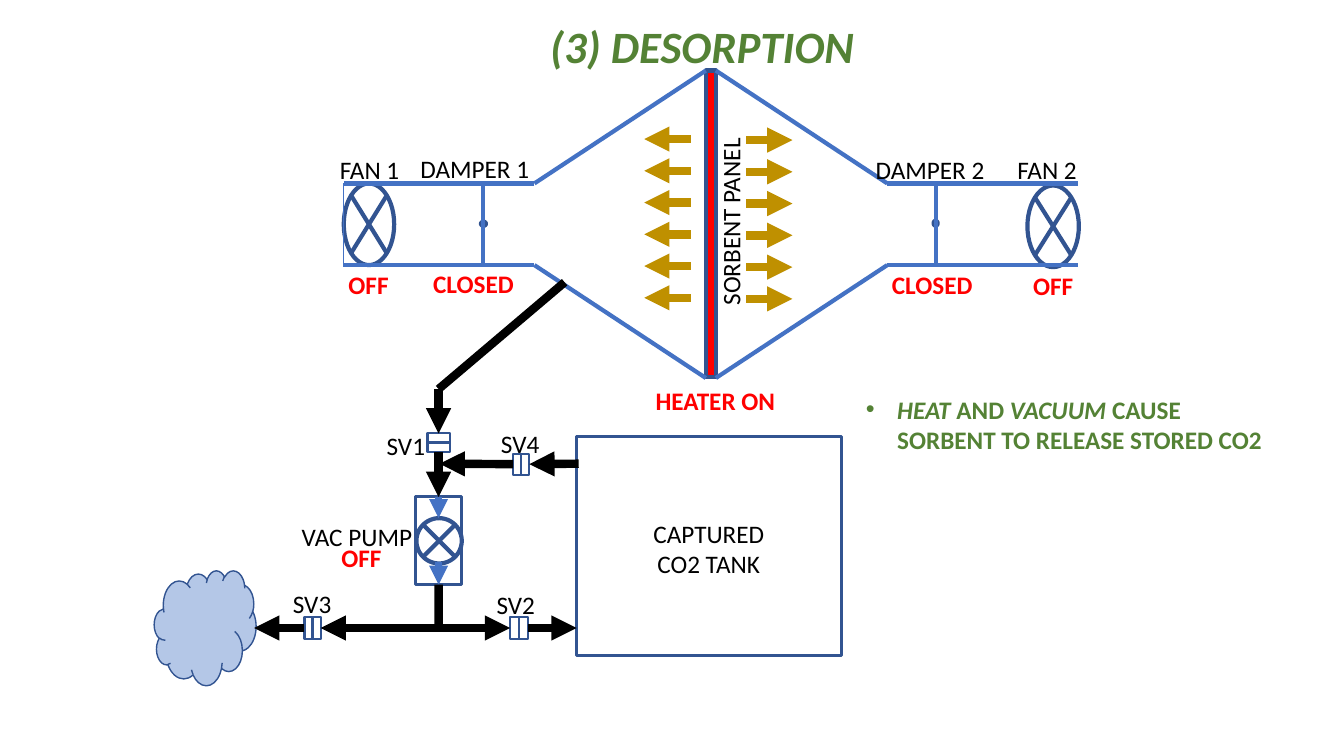
from dataclasses import dataclass
from typing import Any, NamedTuple, Optional, Union

from pptx import Presentation
from pptx.dml.color import RGBColor
from pptx.enum.shapes import MSO_CONNECTOR, MSO_SHAPE
from pptx.enum.text import MSO_ANCHOR, MSO_AUTO_SIZE, PP_ALIGN
from pptx.oxml.ns import qn
from pptx.util import Inches, Pt


@dataclass(frozen=True)
class Theme:
    font: str = "Calibri"
    title_size: float = 32
    body_size: float = 18
    black: str = "000000"
    red: str = "FF0000"
    green: str = "548235"
    blue: str = "4472C4"
    navy: str = "325491"
    gold: str = "BF9000"
    sky: str = "B4C7E7"


THEME = Theme()


class Point(NamedTuple):
    x: float
    y: float


class Join(NamedTuple):
    device: str
    side: int


TOP, LEFT, BOTTOM, RIGHT = range(4)
End = Union[Point, Join]


class Device(NamedTuple):
    name: str
    kind: MSO_SHAPE
    at: tuple[float, float, float, float]
    weight: float = 3
    fill: Optional[str] = None


class Valve(NamedTuple):
    """Two half cells, side by side or stacked; width and height are of one half."""
    name: str
    left: float
    top: float
    width: float
    height: float
    stacked: bool = False


class Link(NamedTuple):
    start: End
    end: End
    color: str = THEME.black
    weight: float = 6
    arrows: tuple[str, ...] = ()


class Label(NamedTuple):
    words: str
    at: tuple[float, float, float, float]
    color: str = THEME.black
    bold: bool = False
    rotation: float = 0


AHEAD = ("tailEnd",)
BOTH = ("headEnd", "tailEnd")
RECT, JUNCTION = MSO_SHAPE.RECTANGLE, MSO_SHAPE.FLOWCHART_SUMMING_JUNCTION
AXIS = 7.05
PIPE_X = 4.35

DEVICES = [
    Device("heater", RECT, (7, 0.7, 0.1, 3.04), fill=THEME.red),
    Device("fan 1", JUNCTION, (3.41, 1.82, 0.5, 0.81)),
    Device("fan 2", JUNCTION, (10.19, 1.84, 0.51, 0.81)),
    Device("damper 1 pivot", MSO_SHAPE.OVAL, (4.77, 2.2, 0.05, 0.04), fill=THEME.blue),
    Device("damper 2 pivot", MSO_SHAPE.OVAL, (9.26, 2.19, 0.04, 0.05), fill=THEME.blue),
    Device("pump rotor", JUNCTION, (4.13, 5.14, 0.45, 0.45)),
    Device("pump", RECT, (4.12, 4.93, 0.46, 0.87), 2.25),
    Device("cloud", MSO_SHAPE.CLOUD, (1.53, 5.66, 1.01, 1.14), 1, THEME.sky),
    Device("tank", RECT, (5.72, 4.33, 2.63, 2.17), 2.25),
]
VALVES = [
    Valve("SV1", 4.24, 4.3, 0.22, 0.09, stacked=True),
    Valve("SV2", 5.06, 6.12, 0.09, 0.22),
    Valve("SV3", 3.02, 6.12, 0.08, 0.22),
    Valve("SV4", 5.09, 4.5, 0.08, 0.21),
]
PIPES = [
    Link(Point(4.79, 2.63), Point(4.79, 1.84), THEME.blue, 3),
    Link(Point(9.28, 2.62), Point(9.28, 1.82), THEME.blue, 3),
    Link(Point(3.41, 1.82), Point(3.41, 2.65), THEME.blue, 0.5),
    Link(Join("pump", TOP), Point(PIPE_X, 5.14), THEME.blue, 4.5, AHEAD),
    Link(Point(PIPE_X, 5.58), Join("pump", BOTTOM), THEME.blue, 4.5, AHEAD),
    Link(Point(5.6, 2.8), Point(PIPE_X, 3.86)),
    Link(Point(PIPE_X, 3.86), Join("SV1 first", TOP), arrows=AHEAD),
    Link(Join("SV1 second", BOTTOM), Join("pump", TOP), arrows=AHEAD),
    Link(Join("SV2 first", LEFT), Join("SV3 second", RIGHT), arrows=BOTH),
    Link(Join("SV2 second", RIGHT), Point(5.72, 6.23), arrows=AHEAD),
    Link(Join("SV3 first", LEFT), Point(2.52, 6.23), arrows=AHEAD),
    Link(Point(PIPE_X, 6.23), Join("pump", BOTTOM)),
    Link(Point(5.74, 4.6), Join("SV4 second", RIGHT), arrows=AHEAD),
    Link(Join("SV4 first", LEFT), Point(4.36, 4.6), arrows=AHEAD),
]
LABELS = [
    Label("FAN 1", (3.24, 1.48, 0.85, 0.36)),
    Label("DAMPER 1", (4.03, 1.47, 1.36, 0.4)),
    Label("DAMPER 2", (8.56, 1.48, 1.33, 0.4)),
    Label("FAN 2", (9.96, 1.48, 0.85, 0.36)),
    Label("SV1", (3.6, 4.22, 0.85, 0.36)),
    Label("SV2", (4.69, 5.8, 0.85, 0.36)),
    Label("SV3", (2.67, 5.79, 0.85, 0.36)),
    Label("SV4", (4.74, 4.2, 0.84, 0.34)),
    Label("SORBENT PANEL", (5.8, 2.02, 2.85, 0.36), rotation=270),
    Label("VAC PUMP", (2.78, 5.12, 1.52, 0.36)),
    Label("CAPTURED CO2 TANK", (6.28, 5.09, 1.5, 0.71)),
    Label("HEATER ON", (6.28, 3.77, 1.63, 0.4), THEME.red, True),
    Label("OFF", (3.23, 2.62, 0.85, 0.4), THEME.red, True),
    Label("CLOSED", (4.07, 2.61, 1.25, 0.4), THEME.red, True),
    Label("CLOSED", (8.62, 2.62, 1.25, 0.4), THEME.red, True),
    Label("OFF", (10.02, 2.63, 0.85, 0.4), THEME.red, True),
    Label("OFF", (3.16, 5.33, 0.85, 0.4), THEME.red, True),
]
NOTE = [("HEAT ", True), ("AND ", False), ("VACUUM ", True),
        ("CAUSE SORBENT TO RELEASE STORED CO2", False)]


def assign(target: Any, values: dict[str, Any]) -> None:
    for name, value in values.items():
        setattr(target, name, value)


def prepare_frame(frame: Any) -> None:
    assign(frame, {"word_wrap": True, "vertical_anchor": MSO_ANCHOR.TOP,
                   "auto_size": MSO_AUTO_SIZE.SHAPE_TO_FIT_TEXT})


def add_span(para: Any, words: str, color: str, size: float = THEME.body_size,
             bold: bool = False, italic: bool = False) -> None:
    span = para.add_run()
    span.text = words
    assign(span.font, {"name": THEME.font, "size": Pt(size), "bold": bold, "italic": italic})
    span.font.color.rgb = RGBColor.from_string(color)


def draw_title(page: Any) -> None:
    title = page.shapes.title
    assign(title, {"left": Inches(3.5), "top": Inches(0.14),
                   "width": Inches(6.93), "height": Inches(0.64)})
    prepare_frame(title.text_frame)
    para = title.text_frame.paragraphs[0]
    assign(para, {"alignment": PP_ALIGN.CENTER, "line_spacing": 1.0, "space_before": Pt(0)})
    add_span(para, "(3) DESORPTION", THEME.green, THEME.title_size, True, True)


def draw_device(page: Any, device: Device) -> Any:
    shape = page.shapes.add_shape(device.kind, *map(Inches, device.at))
    shape.shadow.inherit = False
    if device.fill:
        shape.fill.solid()
        shape.fill.fore_color.rgb = RGBColor.from_string(device.fill)
    else:
        shape.fill.background()
    shape.line.color.rgb = RGBColor.from_string(THEME.navy)
    shape.line.width = Pt(device.weight)
    return shape


def valve_halves(valve: Valve) -> list[Device]:
    step_x, step_y = (0, valve.height) if valve.stacked else (valve.width, 0)
    return [Device(f"{valve.name} {half}", RECT, (valve.left + i * step_x, valve.top + i * step_y,
                                                  valve.width, valve.height), 1.5)
            for i, half in enumerate(("first", "second"))]


def draw_link(page: Any, link: Link, drawn: dict[str, Any]) -> None:
    ends = [end if isinstance(end, Point) else Point(0, 0) for end in (link.start, link.end)]
    line = page.shapes.add_connector(
        MSO_CONNECTOR.STRAIGHT, *(Inches(value) for end in ends for value in end))
    for end, connect in ((link.start, line.begin_connect), (link.end, line.end_connect)):
        if isinstance(end, Join):
            connect(drawn[end.device], end.side)
    line.line.color.rgb = RGBColor.from_string(link.color)
    line.line.width = Pt(link.weight)
    properties = line.element.spPr
    outline = properties.find(qn("a:ln"))
    for arrow in link.arrows:
        outline.append(outline.makeelement(qn(f"a:{arrow}"), {"type": "triangle"}))
    properties.append(properties.makeelement(qn("a:effectLst"), {}))


def duct_and_release_links() -> list[Link]:
    """Mirror the duct walls and the release arrows about the heater."""
    links = []
    for side, first_y in ((-1, 1.38), (1, 1.39)):
        for wide_y, duct_y in ((0.7, 1.82), (3.75, 2.63)):
            corners = [Point(AXIS + side * 0.05, wide_y), Point(AXIS + side * 1.75, duct_y),
                       Point(AXIS + side * 3.64, duct_y)]
            links += [Link(a, b, THEME.blue, 3) for a, b in zip(corners, corners[1:])]
        near, far = (6.85, 6.39) if side < 0 else (7.4, 7.86)
        rows = [first_y + 0.63 * row / 2 for row in range(6)]
        links += [Link(Point(near, y), Point(far, y), THEME.gold, arrows=AHEAD) for y in rows]
    return links


def draw_label(page: Any, label: Label) -> None:
    box = page.shapes.add_textbox(*map(Inches, label.at))
    box.rotation = label.rotation
    prepare_frame(box.text_frame)
    para = box.text_frame.paragraphs[0]
    para.alignment = PP_ALIGN.CENTER
    add_span(para, label.words, label.color, bold=label.bold)


def draw_note(page: Any) -> None:
    box = page.shapes.add_textbox(*map(Inches, (8.49, 3.86, 4.3, 0.71)))
    prepare_frame(box.text_frame)
    para = box.text_frame.paragraphs[0]
    layout = para._p.get_or_add_pPr()
    for name, value in {"marL": 0.31, "indent": -0.31}.items():
        layout.set(name, str(Inches(value)))
    for tag, values in (("a:buFont", {"typeface": "Arial"}), ("a:buChar", {"char": "•"})):
        layout.append(layout.makeelement(qn(tag), values))
    for words, italic in NOTE:
        add_span(para, words, THEME.green, bold=True, italic=italic)


def main() -> None:
    deck = Presentation()
    assign(deck, {"slide_width": Inches(13.33), "slide_height": Inches(7.5)})
    page = deck.slides.add_slide(deck.slide_layouts[5])
    draw_title(page)
    devices = DEVICES + [half for valve in VALVES for half in valve_halves(valve)]
    drawn = {device.name: draw_device(page, device) for device in devices}
    for link in duct_and_release_links() + PIPES:
        draw_link(page, link, drawn)
    for label in LABELS:
        draw_label(page, label)
    draw_note(page)
    deck.save("out.pptx")


if __name__ == "__main__":
    main()
